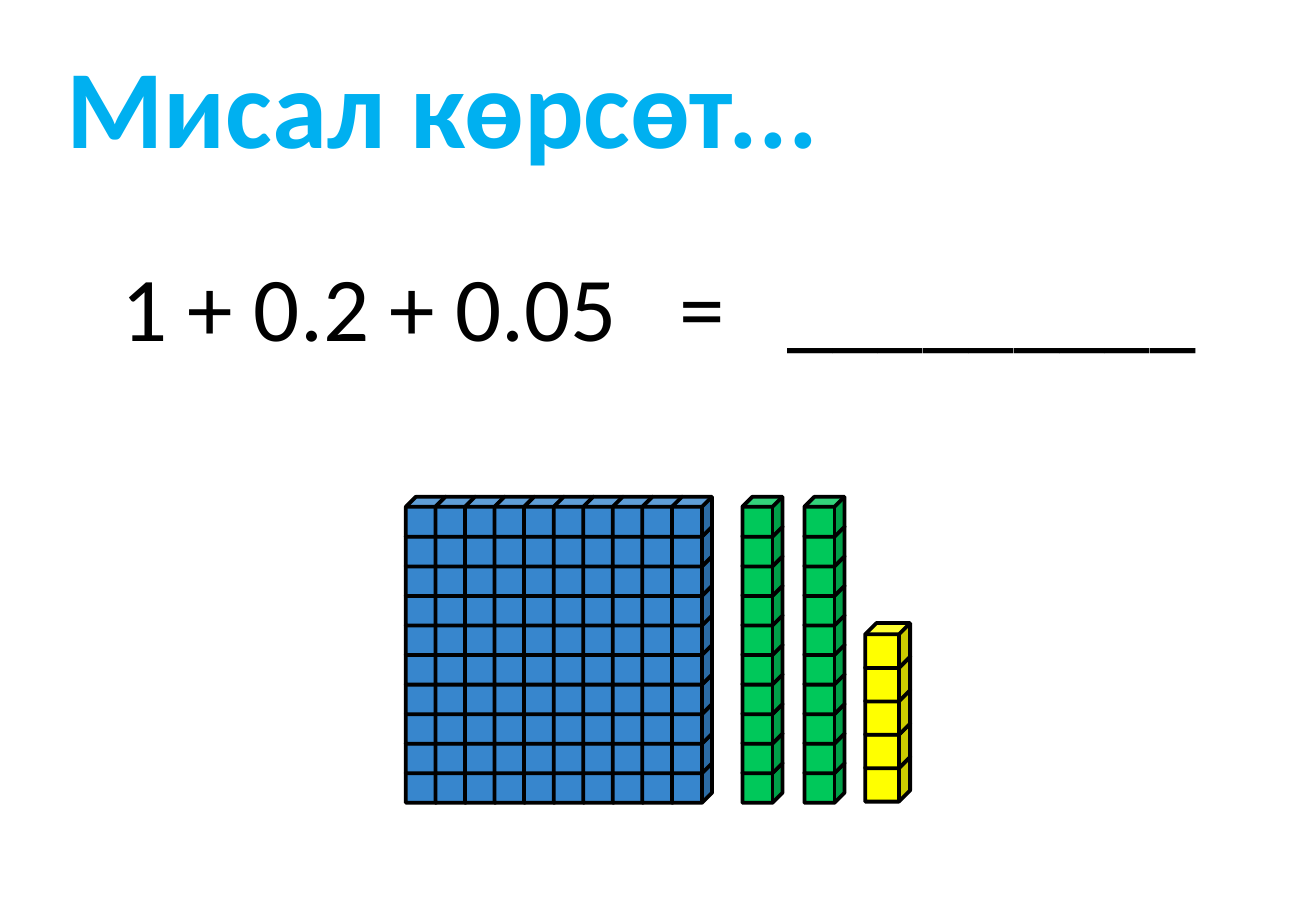
from pptx import Presentation
from pptx.dml.color import RGBColor
from pptx.enum.shapes import MSO_SHAPE
from pptx.enum.text import MSO_AUTO_SIZE
from pptx.oxml.ns import qn
from pptx.util import Inches, Pt
from lxml import etree


def rgb(hex_string):
    return RGBColor.from_string(hex_string)


def add_text(slide, text, left, top, width, height, color, font_format, tab_stops=()):
    """Add a one-line text box; tab stops are in inches from the text's left edge."""
    frame = slide.shapes.add_textbox(
        Inches(left), Inches(top), Inches(width), Inches(height)).text_frame
    frame.word_wrap = True
    frame.auto_size = MSO_AUTO_SIZE.SHAPE_TO_FIT_TEXT
    line = frame.paragraphs[0]
    if tab_stops:
        tab_list = etree.SubElement(line._p.get_or_add_pPr(), qn("a:tabLst"))
        for stop in tab_stops:
            etree.SubElement(tab_list, qn("a:tab"), pos=str(Inches(stop)), algn="l")
    run = line.add_run()
    run.text = text
    run.font.color.rgb = rgb(color)
    for name, value in font_format.items():
        setattr(run.font, name, value)


def add_cube(group, left, top, size, color):
    cube = group.shapes.add_shape(
        MSO_SHAPE.CUBE, Inches(left), Inches(top), Inches(size), Inches(size))
    cube.shadow.inherit = False
    cube.fill.solid()
    cube.fill.fore_color.rgb = rgb(color)
    cube.line.color.rgb = rgb("000000")
    cube.line.width = Pt(2.25)


def add_cube_block(slide, left, top, last_top, size, color, rows, columns=1):
    """Stack cubes upwards, column by column, so that each hides the one behind it."""
    group = slide.shapes.add_group_shape()
    pitch = (last_top - top) / (rows - 1)
    for column in range(columns):
        for row in range(rows):
            add_cube(group, left + column * pitch, last_top - row * pitch, size, color)


def main():
    deck = Presentation()
    deck.slide_width, deck.slide_height = Inches(10.83), Inches(7.5)
    slide = deck.slides.add_slide(deck.slide_layouts[6])

    add_text(slide, "1 + 0.2 + 0.05\t=\t_________", 0.9, 2.01, 9.17, 1.01, "000000",
             {"name": "Calibri", "size": Pt(54)}, tab_stops=(4.59, 5.48))
    for tenth_left in (6.11, 6.62):
        add_cube_block(slide, tenth_left, 4.09, 6.28, 0.33, "00C85A", rows=10)
    add_cube_block(slide, 3.34, 4.09, 6.28, 0.33, "3786CD", rows=10, columns=10)
    add_cube_block(slide, 7.12, 5.13, 6.23, 0.37, "FFFF00", rows=5)
    add_text(slide, "Мисал көрсөт...", 0.45, 0.26, 7.33, 1.21, "00B0F0",
             {"name": "Calibri", "size": Pt(66), "bold": True})

    deck.save("out.pptx")


if __name__ == "__main__":
    main()
